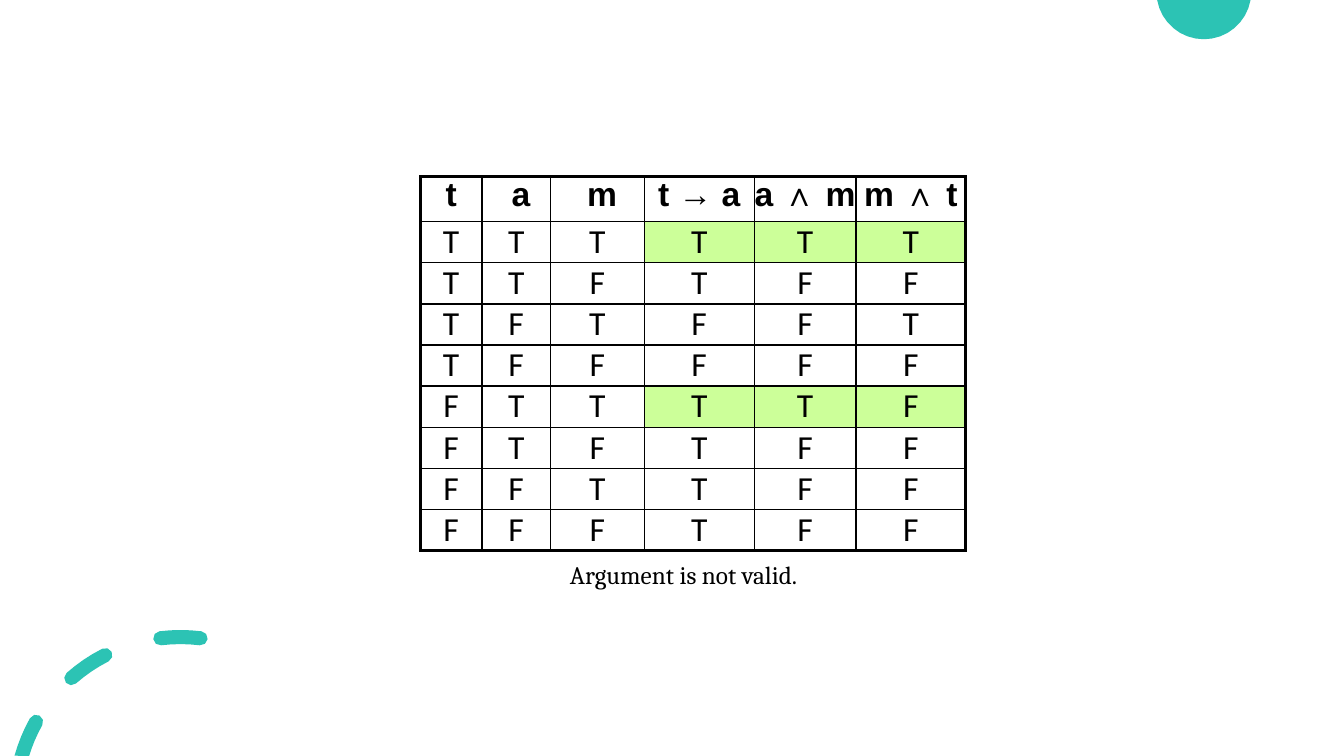
from math import cos, radians, sin

from lxml import etree
from pptx import Presentation
from pptx import util as u
from pptx.dml.color import RGBColor
from pptx.enum import text
from pptx.oxml import ns

COLORS = {"teal": "2CC3B4", "green": "CCFF99", "black": "000000"}


def arc(center_x, center_y, radius, start, end, steps=4):
    """Points in inches along a circle, with angles counter-clockwise in degrees."""
    angles = [radians(start + (end - start) * i / steps) for i in range(steps + 1)]
    return [(center_x + radius * cos(a), center_y - radius * sin(a)) for a in angles]


def add_teal_outline(slide, contours):
    contours = [[(u.Inches(x), u.Inches(y)) for x, y in points] for points in contours]
    builder = slide.shapes.build_freeform(*contours[0][0])
    for number, points in enumerate(contours):
        if number:
            builder.move_to(*points[0])
        builder.add_line_segments(points[1:], close=True)
    shape = builder.convert_to_shape()
    shape.shadow.inherit = False
    shape.fill.solid()
    shape.fill.fore_color.rgb = RGBColor.from_string(COLORS["teal"])
    shape.line.fill.background()


presentation = Presentation()
presentation.slide_width = u.Inches(13.33)
presentation.slide_height = u.Inches(7.5)
slide = presentation.slides.add_slide(presentation.slide_layouts[6])

# Circle cut by the top edge
add_teal_outline(slide, [arc(11.94, -0.08, 0.47, 190, 350, 16)])

# Dashed ring in the lower left corner, its last dash cut by the bottom edge
ring_x, ring_y, ring_radius, half_width = 1.79, 7.96, 1.64, 0.07
dashes = []
for start, outer_end, inner_end in [(150.8, 164.3, 162.9), (117, 131.3, 131.3), (83, 97, 97)]:
    points = arc(ring_x, ring_y, ring_radius + half_width, start, outer_end)
    if outer_end == inner_end:
        cap_x, cap_y = arc(ring_x, ring_y, ring_radius, outer_end, outer_end, 1)[0]
        points += arc(cap_x, cap_y, half_width, outer_end, outer_end + 180)[1:-1]
    points += arc(ring_x, ring_y, ring_radius - half_width, inner_end, start)
    cap_x, cap_y = arc(ring_x, ring_y, ring_radius, start, start, 1)[0]
    points += arc(cap_x, cap_y, half_width, start + 180, start + 360)[1:-1]
    dashes.append(points)
add_teal_outline(slide, dashes)

# Truth table
rows = [
    ["t", " a", " m", "t → a", "a ∧ m", "m ∧ t"],
    *map(list, ["TTTTTT", "TTFTFF", "TFTFFT", "TFFFFF", "FTTTTF", "FTFTFF", "FFTTFF", "FFFTFF"]),
]
column_widths = [0.61, 0.68, 0.93, 1.09, 1.01, 1.09]
last_row, last_column = len(rows) - 1, len(column_widths) - 1
table_height, header_height = 3.71, 0.45
value_height = (table_height - header_height) / last_row
highlighted_rows = (1, 5)
table = slide.shapes.add_table(
    len(rows), len(column_widths), u.Inches(4.17), u.Inches(1.75),
    u.Inches(sum(column_widths)), u.Inches(table_height),
).table
table.first_row = table.horz_banding = False
for column, width in zip(table.columns, column_widths):
    column.width = u.Inches(width)

for r, values in enumerate(rows):
    table.rows[r].height = u.Inches(value_height if r else header_height)
    for c, value in enumerate(values):
        cell = table.cell(r, c)
        cell.margin_left = cell.margin_right = cell.margin_top = cell.margin_bottom = 0
        cell.text_frame.text = value
        paragraph = cell.text_frame.paragraphs[0]
        paragraph.alignment = text.PP_ALIGN.CENTER
        paragraph.space_after = u.Pt(10 if r else 0)
        font = paragraph.runs[0].font
        font.name = "Calibri" if r else "Arial"
        font.size = u.Pt(24)
        font.bold = r == 0
        font.color.rgb = RGBColor.from_string(COLORS["black"])

        # Thick borders outside, thin ones inside
        properties = cell._tc.get_or_add_tcPr()
        outer_sides = {"L": c == 0, "R": c == last_column, "T": r == 0, "B": r == last_row}
        for side, is_outer in outer_sides.items():
            line = etree.SubElement(properties, ns.qn(f"a:ln{side}"), w=str(u.Pt(2.25 if is_outer else 1)))
            fill = etree.SubElement(line, ns.qn("a:solidFill"))
            etree.SubElement(fill, ns.qn("a:srgbClr"), val=COLORS["black"])

        if r in highlighted_rows and c >= 3:
            cell.fill.solid()
            cell.fill.fore_color.rgb = RGBColor.from_string(COLORS["green"])
        else:
            cell.fill.background()

# Conclusion below the table
conclusion = slide.shapes.add_textbox(u.Inches(5.5), u.Inches(5.55), u.Inches(5.67), u.Inches(0.83))
frame = conclusion.text_frame
frame.word_wrap = True
frame.margin_top = 0
frame.text = " Argument is not valid."
font = frame.paragraphs[0].runs[0].font
font.name = "Cambria"
font.size = u.Pt(18)
font.color.rgb = RGBColor.from_string(COLORS["black"])

presentation.save("out.pptx")
